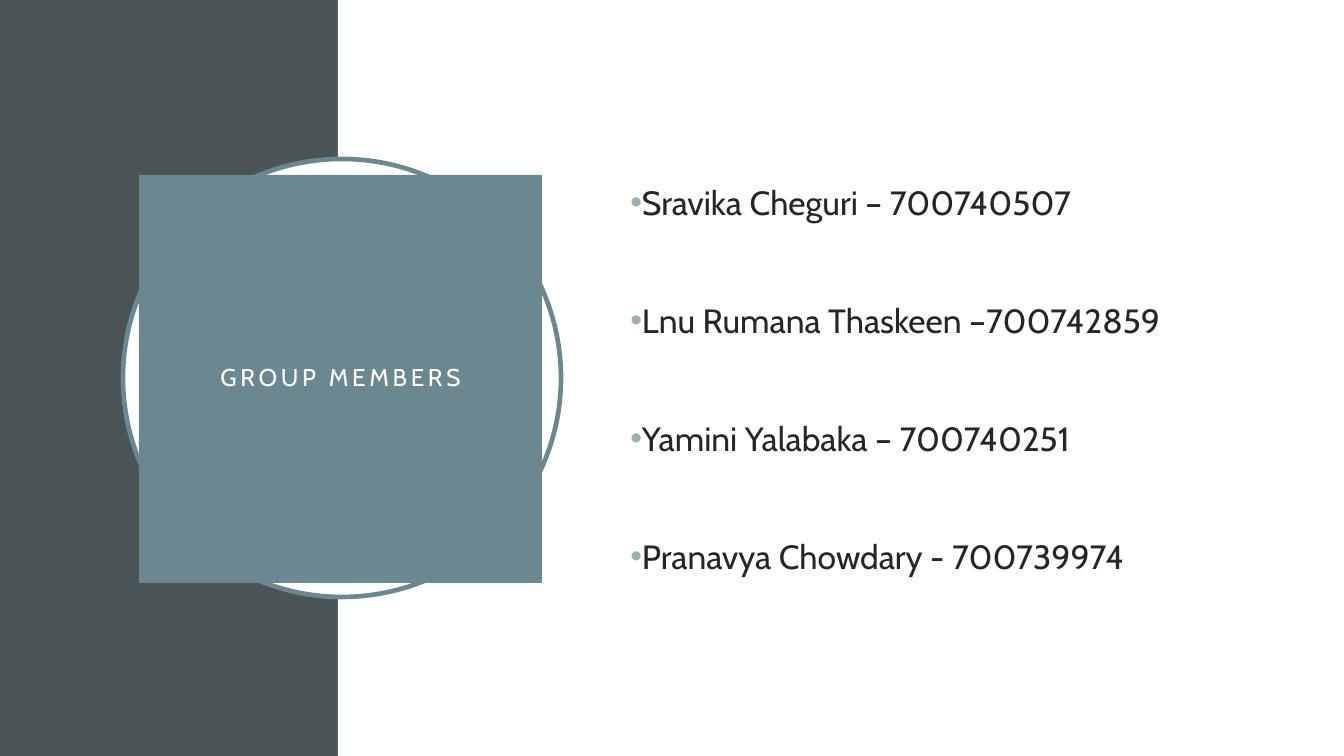
from lxml import etree
from pptx import Presentation
from pptx import util as u
from pptx.dml.color import RGBColor
from pptx.enum import shapes, text
from pptx.oxml.ns import qn

SCALE = 914400 / 134.4  # EMU in one px
WIDE, HIGH = 1344, 756
BAND = 338
HUES = {"slate": "4A5356", "teal": "6B8891", "mist": "9BAFB5",
        "ink": "262626", "white": "FFFFFF"}
NAMES = ["Sravika Cheguri – 700740507", "Lnu Rumana Thaskeen –700742859",
         "Yamini Yalabaka – 700740251", "Pranavya Chowdary - 700739974"]


def px(n):
    return u.Emu(round(n * SCALE))


def hue(name):
    return RGBColor.from_string(HUES[name])


def put(item, vals):
    for key, val in vals.items():
        setattr(item, key, val)


class Deck:
    """Holds the style and the current slide."""
    font = "Cabin"

    def __init__(self):
        self.show = Presentation()
        put(self.show, {"slide_width": px(WIDE), "slide_height": px(HIGH)})
        self.slide = self.show.slides.add_slide(self.show.slide_layouts[6])

    def shape(self, kind, box, fill, line=None):
        item = self.slide.shapes.add_shape(kind, *map(px, box))
        item.shadow.inherit = False
        item.fill.solid()
        item.fill.fore_color.rgb = hue(fill)
        if line:
            item.line.color.rgb = hue(line)
            item.line.width = u.Pt(2.5)
        else:
            item.line.fill.background()
        return item

    def label(self, para, words, size, color):
        run = para.add_run()
        run.text = words
        put(run.font, {"name": self.font, "size": u.Pt(size)})
        run.font.color.rgb = hue(color)
        return run

    def title(self, item, words):
        frame = item.text_frame
        sides = ("left", "top", "right", "bottom")
        put(frame, {f"margin_{side}": px(27) for side in sides})
        put(frame, {"word_wrap": True, "vertical_anchor": text.MSO_ANCHOR.MIDDLE})
        para = frame.paragraphs[0]
        put(para, {"alignment": text.PP_ALIGN.CENTER, "line_spacing": 0.9})
        run = self.label(para, words, 13, "white")
        run.font._element.set("spc", "200")

    def bullet(self, para):
        """Hang a coloured dot before the paragraph."""
        props = para._p.get_or_add_pPr()
        props.set("marL", "0")
        props.set("indent", str(u.Inches(-0.25)))
        tint = etree.SubElement(props, qn("a:buClr"))
        etree.SubElement(tint, qn("a:srgbClr"), val=HUES["mist"])
        etree.SubElement(props, qn("a:buFont"), typeface="Arial")
        etree.SubElement(props, qn("a:buChar"), char="•")

    def roster(self, box, rows):
        frame = self.slide.shapes.add_textbox(*map(px, box)).text_frame
        put(frame, {"word_wrap": True, "vertical_anchor": text.MSO_ANCHOR.MIDDLE})
        for i, row in enumerate(rows):
            para = frame.add_paragraph() if i else frame.paragraphs[0]
            para.space_before = u.Pt(41.5 if i else 0)
            self.bullet(para)
            self.label(para, row, 18, "ink")


def main():
    deck = Deck()
    rect, oval = shapes.MSO_SHAPE.RECTANGLE, shapes.MSO_SHAPE.OVAL
    deck.shape(rect, (0, 0, BAND, HIGH), "slate")
    deck.shape(rect, (BAND, 0, WIDE - BAND, HIGH), "white")
    deck.shape(oval, (123, 159, 438, 438), "white", "teal")
    deck.roster((617, 155, 586, 448), NAMES)
    card = deck.shape(rect, (139, 175, 403, 408), "teal")
    deck.title(card, "GROUP MEMBERS")
    deck.show.save("out.pptx")


if __name__ == "__main__":
    main()
